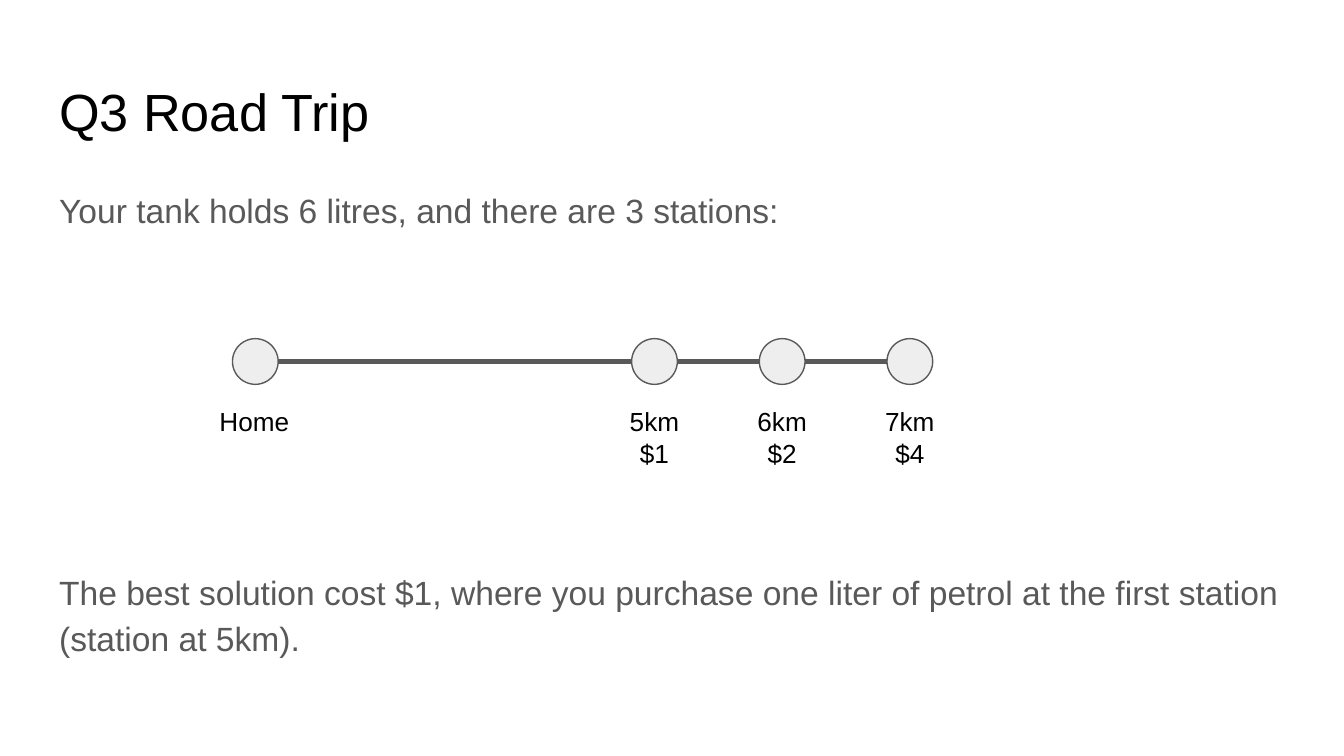
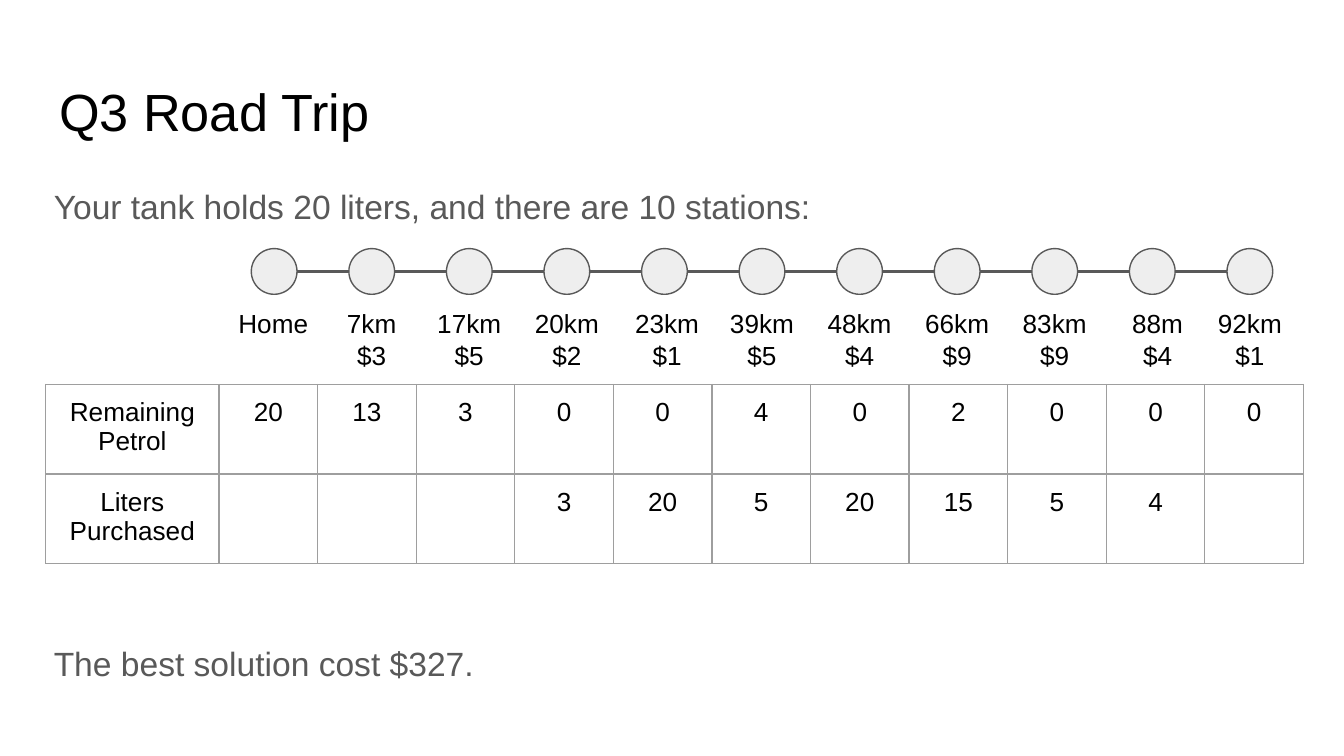
from dataclasses import dataclass

from lxml import etree
from pptx import Presentation
from pptx import util as u
from pptx.dml.color import RGBColor
from pptx.enum import shapes, text
from pptx.oxml.ns import qn


@dataclass(frozen=True)
class Theme:
    font: str = "Arial"
    ink: str = "000000"
    grey: str = "595959"
    dot: str = "EEEEEE"
    grid: str = "9E9E9E"
    title: int = 28
    body: int = 18
    label: int = 14


T = Theme()
WIDE = 10
TALL = WIDE * 9 / 16
DOT = 0.34  # diameter of a stop
LEFT, MID = text.PP_ALIGN.LEFT, text.PP_ALIGN.CENTER

HEAD = "Q3 Road Trip"
# Each stop: left edge of its dot, label lines, shift of the label
SHORT = [(1.73, "Home", 0), (4.7, "5km\n$1", 0),
         (5.65, "6km\n$2", 0), (6.6, "7km\n$4", 0)]
NAMES = ["Home", "7km\n$3", "17km\n$5", "20km\n$2", "23km\n$1", "39km\n$5",
         "48km\n$4", "66km\n$9", "83km\n$9", "88m\n$4", "92km\n$1"]
SHIFT = {"23km\n$1": 0.02, "88m\n$4": 0.04}
STEP = (9.13 - 1.87) / (len(NAMES) - 1)
LONG = [(1.87 + i * STEP, name, SHIFT.get(name, 0))
        for i, name in enumerate(NAMES)]
ROWS = [
    ["Remaining Petrol", "20", "13", "3", "0", "0", "4", "0", "2", "0", "0", "0"],
    ["Liters Purchased", "", "", "", "3", "20", "5", "20", "15", "5", "4", ""],
]


def box(*sizes):
    return [u.Inches(s) for s in sizes]


def style(frame, size, color, align):
    """Give every paragraph of a frame one look."""
    for para in frame.paragraphs:
        para.alignment = align
        for run in para.runs:
            run.font.name = T.font
            run.font.size = u.Pt(size)
            run.font.color.rgb = RGBColor.from_string(color)


def inset(part):
    """Set equal margins on a text frame or a table cell."""
    part.margin_left = part.margin_right = u.Inches(0.1)
    part.margin_top = part.margin_bottom = u.Inches(0.1)


def fill_holder(holder, place, words, size, color):
    """Move a placeholder and set its text."""
    holder.left, holder.top, holder.width, holder.height = box(*place)
    frame = holder.text_frame
    frame.text = words
    inset(frame)
    frame.word_wrap = True
    frame.auto_size = text.MSO_AUTO_SIZE.NONE
    frame.vertical_anchor = text.MSO_ANCHOR.TOP
    style(frame, size, color, LEFT)
    return frame


def add_page(deck, place, intro, result, gap):
    """Start a slide with its title, opening line and result below a gap."""
    page = deck.slides.add_slide(deck.slide_layouts[1])
    fill_holder(page.shapes.title, (0.34, 0.49, 9.32, 0.63), HEAD,
                T.title, T.ink)
    frame = fill_holder(page.placeholders[1], place, f"{intro}\n{result}",
                        T.body, T.grey)
    for para, space in zip(frame.paragraphs, (0, gap)):
        para.line_spacing = 1.15
        para.space_before = u.Pt(space)
        props = para._p.get_or_add_pPr()
        props.set("marL", "0")
        props.set("indent", "0")
        etree.SubElement(props, qn("a:buNone"))
    frame.paragraphs[-1].space_after = u.Pt(16)
    return page


def add_road(page, start, end, y, width):
    road = page.shapes.add_connector(shapes.MSO_CONNECTOR.STRAIGHT,
                                     *box(start, y, end, y))
    road.line.color.rgb = RGBColor.from_string(T.grey)
    road.line.width = u.Pt(width)
    etree.SubElement(road._element.spPr, qn("a:effectLst"))


def add_dot(page, x, y):
    dot = page.shapes.add_shape(shapes.MSO_SHAPE.OVAL, *box(x, y, DOT, DOT))
    dot.shadow.inherit = False
    dot.fill.solid()
    dot.fill.fore_color.rgb = RGBColor.from_string(T.dot)
    dot.line.color.rgb = RGBColor.from_string(T.grey)
    dot.line.width = u.Pt(0.75)


def add_label(page, mid, y, words):
    paired = "\n" in words
    wide, tall = (0.76, 0.67) if paired else (0.73, 0.44)
    label = page.shapes.add_textbox(*box(mid - wide / 2, y, wide, tall))
    frame = label.text_frame
    frame.text = words
    inset(frame)
    frame.word_wrap = True
    frame.auto_size = text.MSO_AUTO_SIZE.SHAPE_TO_FIT_TEXT
    style(frame, T.label, T.ink, MID if paired else LEFT)


def add_route(page, stops, y, drop, width):
    """Draw the road, a dot for each stop, and the labels below."""
    add_road(page, stops[0][0] + DOT, stops[-1][0], y + DOT / 2, width)
    for x, _, _ in stops:
        add_dot(page, x, y)
    for x, words, shift in stops:
        add_label(page, x + DOT / 2 + shift, y + drop, words)


def add_edges(cell):
    props = cell._tc.get_or_add_tcPr()
    for spot, side in enumerate(("lnL", "lnR", "lnT", "lnB")):
        edge = etree.Element(qn(f"a:{side}"), w=str(u.Pt(0.75)))
        paint = etree.SubElement(edge, qn("a:solidFill"))
        etree.SubElement(paint, qn("a:srgbClr"), val=T.grid)
        props.insert(spot, edge)


def add_grid(page, rows):
    wide, first = 9.36, 1.29
    count = len(rows[0])
    grid = page.shapes.add_table(len(rows), count,
                                 *box(0.34, 2.86, wide, 1.33)).table
    grid.first_row = grid.horz_banding = False
    for i, col in enumerate(grid.columns):
        col.width = u.Inches((wide - first) / (count - 1) if i else first)
    for r, row in enumerate(rows):
        for c, words in enumerate(row):
            cell = grid.cell(r, c)
            cell.text = words
            inset(cell)
            cell.fill.background()
            style(cell.text_frame, T.label, T.ink, MID)
            add_edges(cell)


def main():
    deck = Presentation()
    deck.slide_width, deck.slide_height = box(WIDE, TALL)

    # Short trip
    page = add_page(
        deck, (0.34, 1.27, 9.32, 3.74),
        "Your tank holds 6 litres, and there are 3 stations:",
        "The best solution cost $1, where you purchase one liter of petrol "
        "at the first station (station at 5km).", 179.5)
    add_route(page, SHORT, 2.52, 0.4, 2.25)

    # Long trip with the fuel log
    page = add_page(
        deck, (0.3, 1.24, 9.32, 3.74),
        "Your tank holds 20 liters, and there are 10 stations:",
        "The best solution cost $327.", 220)
    add_route(page, LONG, 1.85, 0.34, 1.5)
    add_grid(page, ROWS)

    deck.save("out.pptx")


if __name__ == "__main__":
    main()
